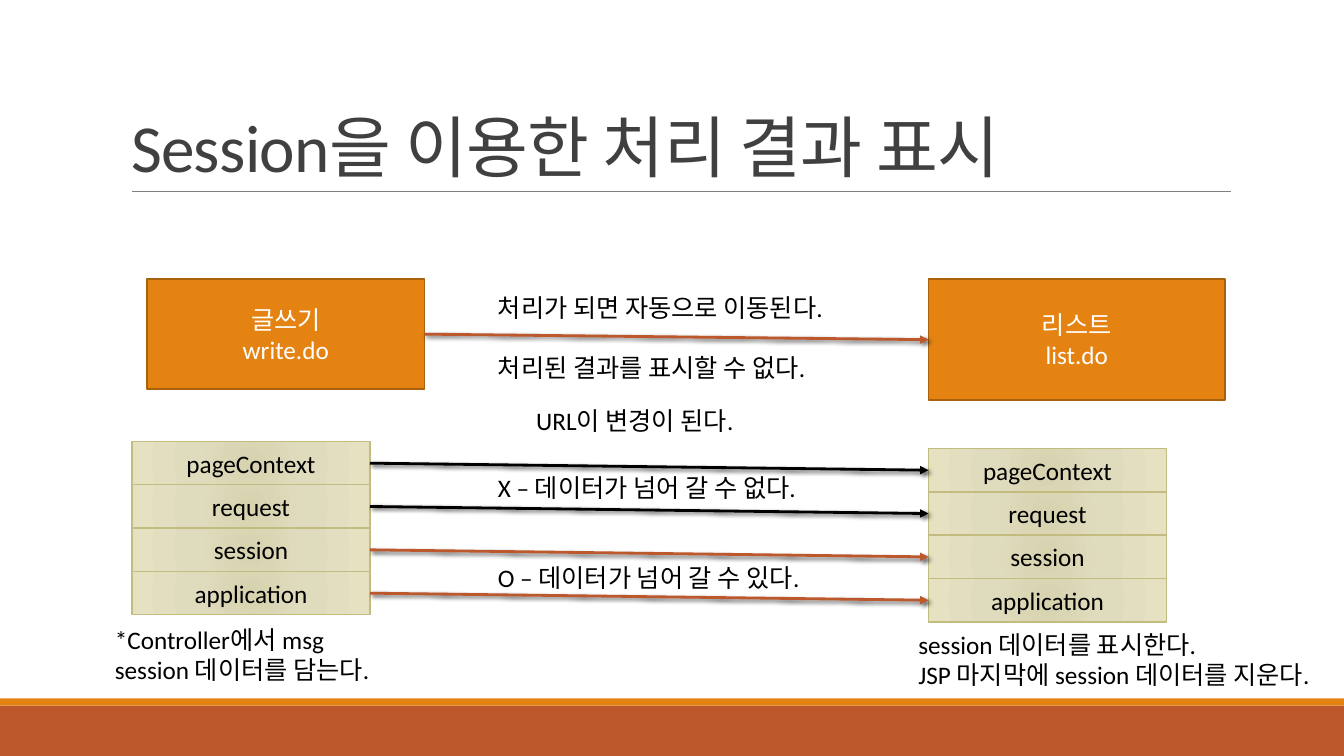
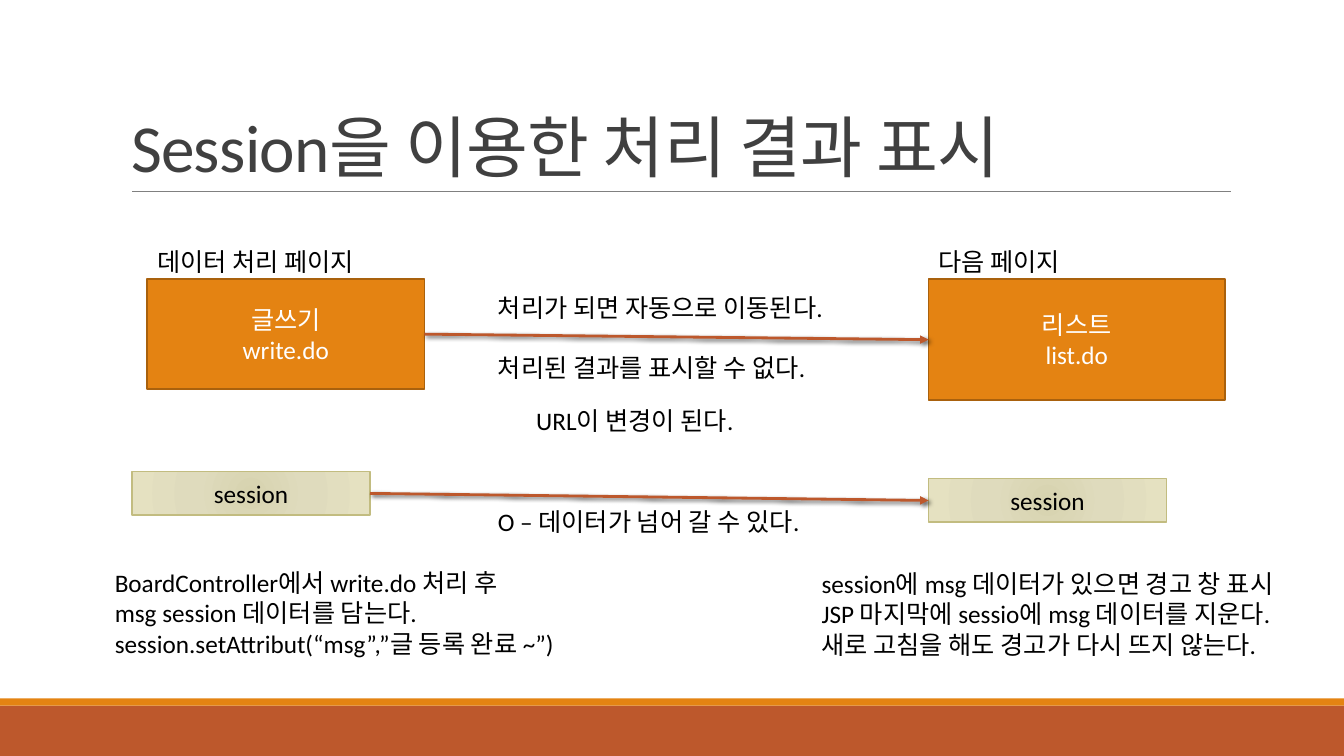
"""Build two slides on showing a processing result through the session."""
from lxml.etree import SubElement
from pptx import Presentation
from pptx.dml.color import RGBColor
from pptx.enum.shapes import MSO_CONNECTOR as Connector, MSO_SHAPE as Shape
from pptx.enum.text import MSO_ANCHOR as Anchor, MSO_AUTO_SIZE as AutoSize, PP_ALIGN as Align
from pptx.oxml import parse_xml
from pptx.oxml.ns import nsdecls, qn
from pptx.util import Inches, Pt

COLORS = {
    "band": "BD582C", "accent": "E48312", "accent edge": "A9610D", "rule": "808080",
    "title": "404040", "black": "000000", "white": "FFFFFF", "scope edge": "C2BC80",
}
SCOPE_STOPS = [(0, "D7D3AF"), (45, "DFDBBD"), (100, "E5E1C1")]
FONT = "Calibri"
TITLE = "Session을 이용한 처리 결과 표시"

WRITE_PAGE = (["글쓰기", "write.do"], (1.46, 2.77, 2.75, 1.09))
LIST_PAGE = (["리스트", "list.do"], (9.21, 2.77, 2.94, 1.2))
SCOPE_LEFTS = (1.31, 9.21)
SCOPE_SIZE = (2.36, 0.43)
SCOPE_DROP = 0.07
LINE_GAP = 21.6

SHARED_NOTES = [
    (["처리가 되면 자동으로 이동된다.", "처리된 결과를 표시할 수 없다."], (4.84, 2.85, 3.72, 1.01), LINE_GAP),
    (["URL이 변경이 된다."], (5.22, 3.97, 2.3, 0.4), 0),
]
SLIDES = [
    {
        "top": 4.38,
        "scopes": [("pageContext", "black"), ("request", "black"),
                   ("session", "band"), ("application", "band")],
        "notes": [
            (["O – 데이터가 넘어 갈 수 있다."], (4.84, 5.53, 3.43, 0.4), 0),
            (["X – 데이터가 넘어 갈 수 없다."], (4.84, 4.64, 3.39, 0.4), 0),
            (["*Controller에서 msg", "session 데이터를 담는다."], (1.04, 6.14, 2.89, 0.71), 0),
            (["session 데이터를 표시한다.", "JSP 마지막에 session 데이터를 지운다."],
             (9.01, 6.19, 4.34, 0.71), 0),
        ],
    },
    {
        "top": 4.68,
        "scopes": [("session", "band")],
        "notes": [
            (["O – 데이터가 넘어 갈 수 있다."], (4.84, 4.97, 3.43, 0.4), 0),
            (["BoardController에서 write.do 처리 후", "msg session 데이터를 담는다.",
              "session.setAttribut(“msg”,”글 등록 완료 ~”)"], (1.04, 5.58, 4.7, 1.01), 0),
            (["session에 msg 데이터가 있으면 경고 창 표시", "JSP 마지막에 sessio에 msg 데이터를 지운다.",
              "새로 고침을 해도 경고가 다시 뜨지 않는다."], (8.05, 5.59, 5.07, 1.01), 0),
            (["데이터 처리 페이지"], (1.46, 2.39, 2.34, 0.4), 0),
            (["다음 페이지"], (9.21, 2.39, 1.52, 0.4), 0),
        ],
    },
]


def color(name):
    return RGBColor.from_string(COLORS[name])


def inches(values):
    return [Inches(value) for value in values]


def write(frame, lines, ink, size=18, align=Align.LEFT, gap=0):
    frame.text = "\n".join(lines)
    for index, paragraph in enumerate(frame.paragraphs):
        paragraph.alignment = align
        paragraph.space_before = Pt(gap if index else 0)
        paragraph.font.name = FONT
        paragraph.font.size = Pt(size)
        paragraph.font.color.rgb = color(ink)


def add_box(slide, place, fill, edge=None, width=1.25):
    shape = slide.shapes.add_shape(Shape.RECTANGLE, *inches(place))
    shape.shadow.inherit = False
    shape.fill.solid()
    shape.fill.fore_color.rgb = color(fill)
    if edge:
        shape.line.color.rgb = color(edge)
        shape.line.width = Pt(width)
    else:
        shape.line.fill.background()
    return shape


def add_page(slide, lines, place):
    shape = add_box(slide, place, "accent", "accent edge")
    write(shape.text_frame, lines, "white", align=Align.CENTER)
    return shape


def add_scope(slide, name, left, top):
    shape = add_box(slide, (left, top, *SCOPE_SIZE), "white", "scope edge", 1)
    stops = "".join(f'<a:gs pos="{position * 1000}"><a:srgbClr val="{value}"/></a:gs>'
                    for position, value in SCOPE_STOPS)
    gradient = parse_xml(
        f'<a:gradFill {nsdecls("a")} rotWithShape="1"><a:gsLst>{stops}</a:gsLst><a:path path="circle">'
        '<a:fillToRect l="100000" t="100000" r="100000" b="100000"/></a:path></a:gradFill>')
    properties = shape.element.spPr
    properties.replace(properties.find(qn("a:solidFill")), gradient)
    write(shape.text_frame, [name], "black", align=Align.CENTER)
    return shape


def add_line(slide, ends, ink, width):
    line = slide.shapes.add_connector(Connector.STRAIGHT, *inches(ends))
    line.line.color.rgb = color(ink)
    line.line.width = Pt(width)
    SubElement(line.element.spPr, qn("a:effectLst"))
    return line


def add_arrow(slide, source, target, ink):
    arrow = add_line(slide, (0, 0, 1, 1), ink, 2)
    arrow.begin_connect(source, 3)
    arrow.end_connect(target, 1)
    properties = arrow.element.spPr
    SubElement(properties.find(qn("a:ln")), qn("a:tailEnd"), type="triangle")
    shadow = SubElement(properties.find(qn("a:effectLst")), qn("a:outerShdw"), blurRad=str(Pt(3)),
                        dist=str(Pt(2)), dir="2700000", algn="ctr", rotWithShape="0")
    shade = SubElement(shadow, qn("a:srgbClr"), val=COLORS["black"])
    SubElement(shade, qn("a:alpha"), val="60000")


def add_note(slide, lines, place, gap):
    frame = slide.shapes.add_textbox(*inches(place)).text_frame
    frame.word_wrap = False
    frame.auto_size = AutoSize.SHAPE_TO_FIT_TEXT
    write(frame, lines, "black", gap=gap)


def set_title(slide):
    title = slide.shapes.title
    title.left, title.top, title.width, title.height = inches((1.2, 0.31, 11, 1.59))
    frame = title.text_frame
    write(frame, [TITLE], "title", 48)
    frame.auto_size = AutoSize.NONE
    frame.vertical_anchor = Anchor.BOTTOM
    paragraph = frame.paragraphs[0]
    paragraph.line_spacing = 0.85
    paragraph.runs[0].font.size = Pt(48)
    paragraph.runs[0].font.element.set("spc", "-50") if hasattr(
        paragraph.runs[0].font, "element") else paragraph.runs[0]._r.get_or_add_rPr().set("spc", "-50")


def decorate_layout(slide):
    furniture = [
        add_box(slide, (0, 7, 13.33, 0.5), "band"),
        add_box(slide, (0, 6.93, 13.33, 0.07), "accent"),
        add_line(slide, (1.31, 1.9, 12.21, 1.9), "rule", 0.5),
    ]
    for shape in furniture:
        slide.slide_layout.shapes.element.append(shape.element)


def build_slide(slide, content):
    set_title(slide)
    add_arrow(slide, add_page(slide, *WRITE_PAGE), add_page(slide, *LIST_PAGE), "band")
    left, right = SCOPE_LEFTS
    for row, (name, ink) in enumerate(content["scopes"]):
        top = content["top"] + row * SCOPE_SIZE[1]
        source = add_scope(slide, name, left, top)
        target = add_scope(slide, name, right, top + SCOPE_DROP)
        add_arrow(slide, source, target, ink)
    for note in SHARED_NOTES + content["notes"]:
        add_note(slide, *note)


presentation = Presentation()
presentation.slide_width, presentation.slide_height = inches((13.33, 7.5))
title_only = presentation.slide_layouts[5]
for number, content in enumerate(SLIDES):
    slide = presentation.slides.add_slide(title_only)
    if number == 0:
        decorate_layout(slide)
    build_slide(slide, content)
presentation.save("out.pptx")
